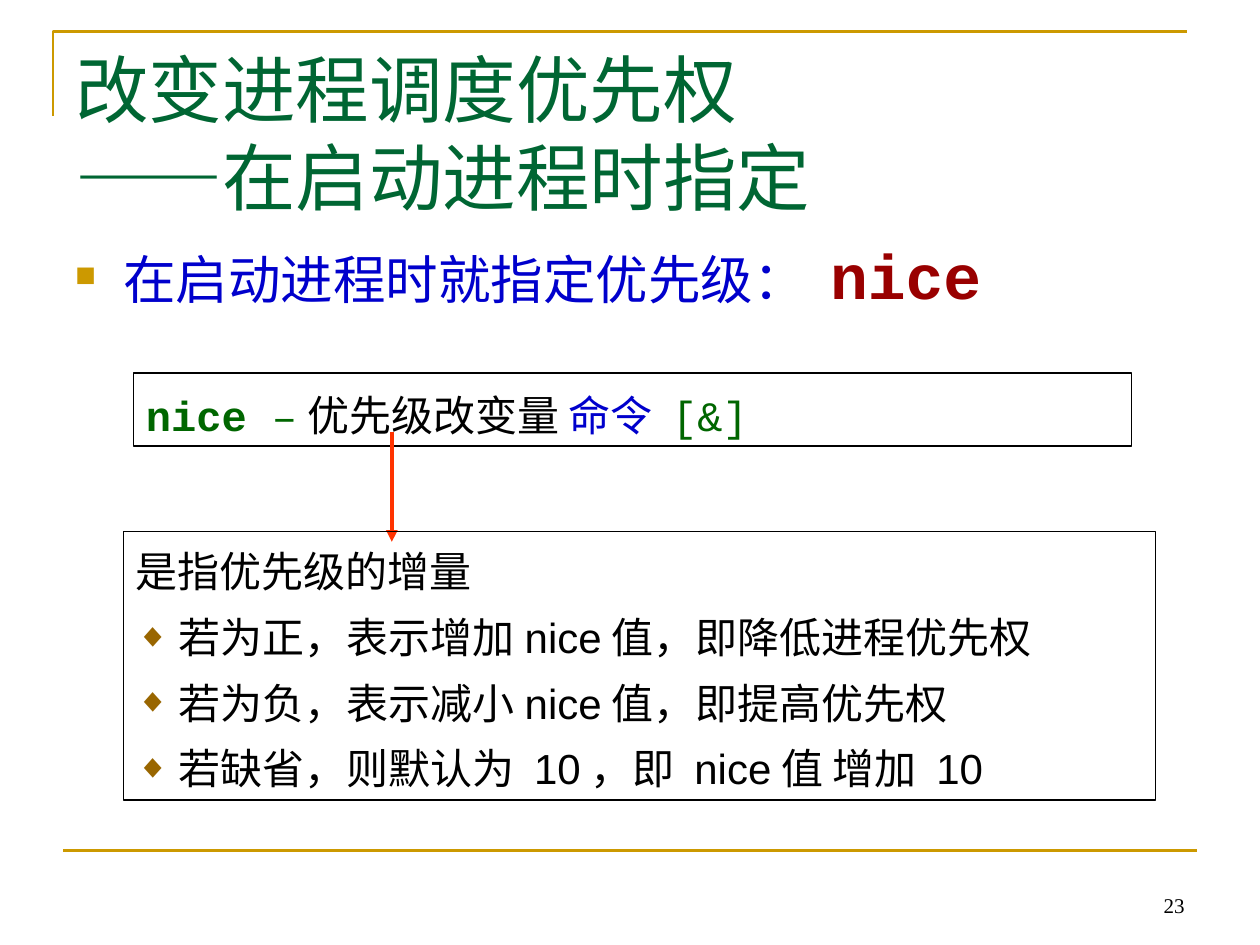
from pptx import Presentation
from pptx.dml.color import RGBColor as RGB
from pptx.enum.shapes import MSO_CONNECTOR as Conn, MSO_SHAPE as Kind
from pptx.enum.text import MSO_ANCHOR as Anchor, MSO_AUTO_SIZE as Auto, PP_ALIGN as Align
from pptx.oxml.ns import qn
from pptx.util import Inches, Pt
from lxml.etree import SubElement as Sub

GOLD = "CC9900"
GREEN = "006600"
BLACK = "000000"
BLUE = "0000CC"


def color(code):
    return RGB.from_string(code)


def apply(item, values):
    for key, value in values.items():
        setattr(item, key, value)


class Page:
    sans = "Arial"
    serif = "Times New Roman"
    mono = "Courier New"
    cjk = "Noto Sans CJK SC"

    def __init__(self, slide):
        self.slide = slide
        self.shapes = slide.shapes

    def stroke(self, shape, code, width):
        shape.line.color.rgb = color(code)
        shape.line.width = Pt(width)

    def rule(self, start, end, code, width, arrow=False):
        ends = [Inches(n) for n in (*start, *end)]
        line = self.shapes.add_connector(Conn.STRAIGHT, *ends)
        self.stroke(line, code, width)
        props = line._element.spPr
        if arrow:
            Sub(props.find(qn("a:ln")), qn("a:tailEnd"), type="triangle")
        Sub(props, qn("a:effectLst"))

    def corner(self, points, code, width):
        first, *rest = [(Inches(x), Inches(y)) for x, y in points]
        form = self.shapes.build_freeform(*first)
        form.add_line_segments(rest, close=False)
        shape = form.convert_to_shape()
        shape.fill.background()
        shape.shadow.inherit = False
        self.stroke(shape, code, width)

    def text(self, place, **frame):
        box = self.shapes.add_textbox(*map(Inches, place))
        apply(box.text_frame, {"word_wrap": True, **frame})
        return box.text_frame

    def box(self, place):
        shape = self.shapes.add_shape(Kind.RECTANGLE, *map(Inches, place))
        shape.fill.background()
        shape.shadow.inherit = False
        self.stroke(shape, BLACK, 0.75)
        apply(shape.text_frame, {
            "word_wrap": True,
            "vertical_anchor": Anchor.TOP,
            "auto_size": Auto.SHAPE_TO_FIT_TEXT,
        })
        return shape.text_frame

    def para(self, frame, runs, bullet=None, hang=0, **style):
        para = frame.paragraphs[0]
        if para.runs:
            para = frame.add_paragraph()
        apply(para, {"alignment": Align.LEFT, **style})
        for words, font, size, code, bold in runs:
            for i, part in enumerate(words.split("\n")):
                if i:
                    para.add_line_break()
                run = para.add_run()
                run.text = part
                apply(run.font, {"name": font, "size": Pt(size), "bold": bold})
                run.font.color.rgb = color(code)
        if bullet:
            self.bullet(para, hang, *bullet)

    def bullet(self, para, hang, mark, code, size):
        props = para._p.get_or_add_pPr()
        props.set("marL", str(Inches(hang)))
        props.set("indent", str(-Inches(hang)))
        Sub(Sub(props, qn("a:buClr")), qn("a:srgbClr"), val=code)
        Sub(props, qn("a:buSzPct"), val=str(size * 1000))
        Sub(props, qn("a:buFont"), typeface=self.sans)
        Sub(props, qn("a:buChar"), char=mark)


def main():
    deck = Presentation()
    deck.slide_width, deck.slide_height = Inches(10), Inches(7.5)
    page = Page(deck.slides.add_slide(deck.slide_layouts[6]))

    page.corner([(0.42, 0.92), (0.42, 0.25), (9.42, 0.25)], GOLD, 1.5)
    page.rule((0.5, 6.75), (9.5, 6.75), GOLD, 1.5)

    title = page.text((0.5, 0.3, 9, 1.25))
    page.para(title, [("改变进程调度优先权\n——在启动进程时指定", page.serif, 42, "006633", False)])

    lead = page.text((0.5, 1.83, 9, 0.74))
    page.para(lead, [
        ("在启动进程时就指定优先级： ", page.cjk, 30, BLUE, False),
        ("nice", page.mono, 36, "990000", True),
    ], bullet=("■", GOLD, 65), hang=0.38, space_before=Pt(9))

    number = page.text((7.17, 6.83, 2.33, 0.5), vertical_anchor=Anchor.BOTTOM)
    page.para(number, [("23", page.serif, 12, BLACK, False)], alignment=Align.RIGHT)

    usage = page.box((1.06, 2.96, 7.92, 0.58))
    page.para(usage, [
        ("nice", page.mono, 24, GREEN, True),
        (" –", page.mono, 24, GREEN, False),
        ("优先级改变量 ", page.mono, 24, BLACK, False),
        ("命令 ", page.mono, 24, BLUE, False),
        ("[&]", page.mono, 24, GREEN, False),
    ], line_spacing=1.2)

    page.rule((3.11, 3.43), (3.11, 4.3), "FF3300", 2.25, arrow=True)

    notes = page.box((0.98, 4.22, 8.19, 2.13))
    lines = [
        "是指优先级的增量",
        " 若为正，表示增加nice值，即降低进程优先权",
        " 若为负，表示减小nice值，即提高优先权",
        " 若缺省，则默认为 10，即 nice值 增加 10",
    ]
    for i, words in enumerate(lines):
        page.para(notes, [(words, page.sans, 24, BLACK, False)],
                  bullet=("◆", "996600", 80) if i else None,
                  line_spacing=1.15, space_before=Pt(4.5))

    deck.save("out.pptx")


if __name__ == "__main__":
    main()
